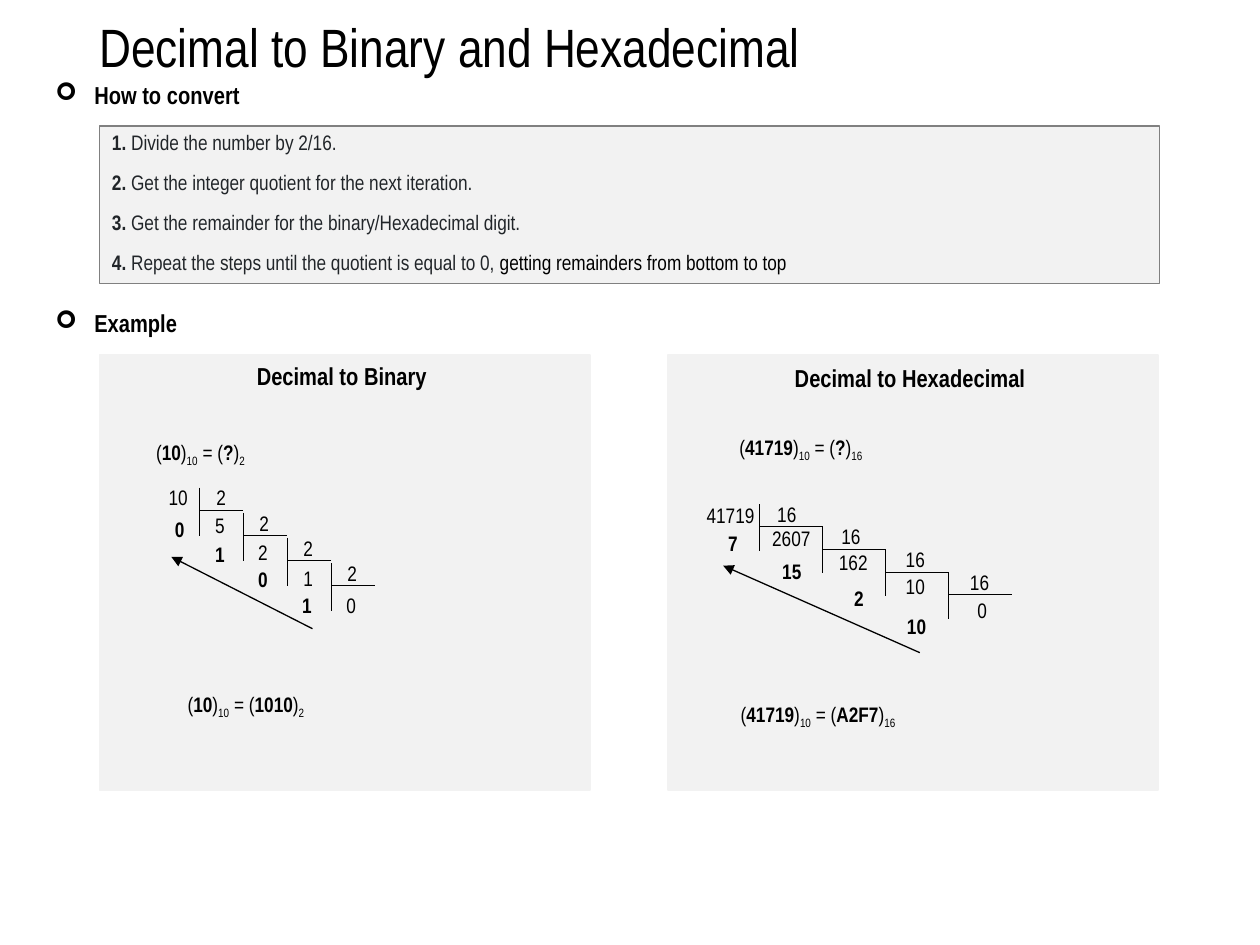
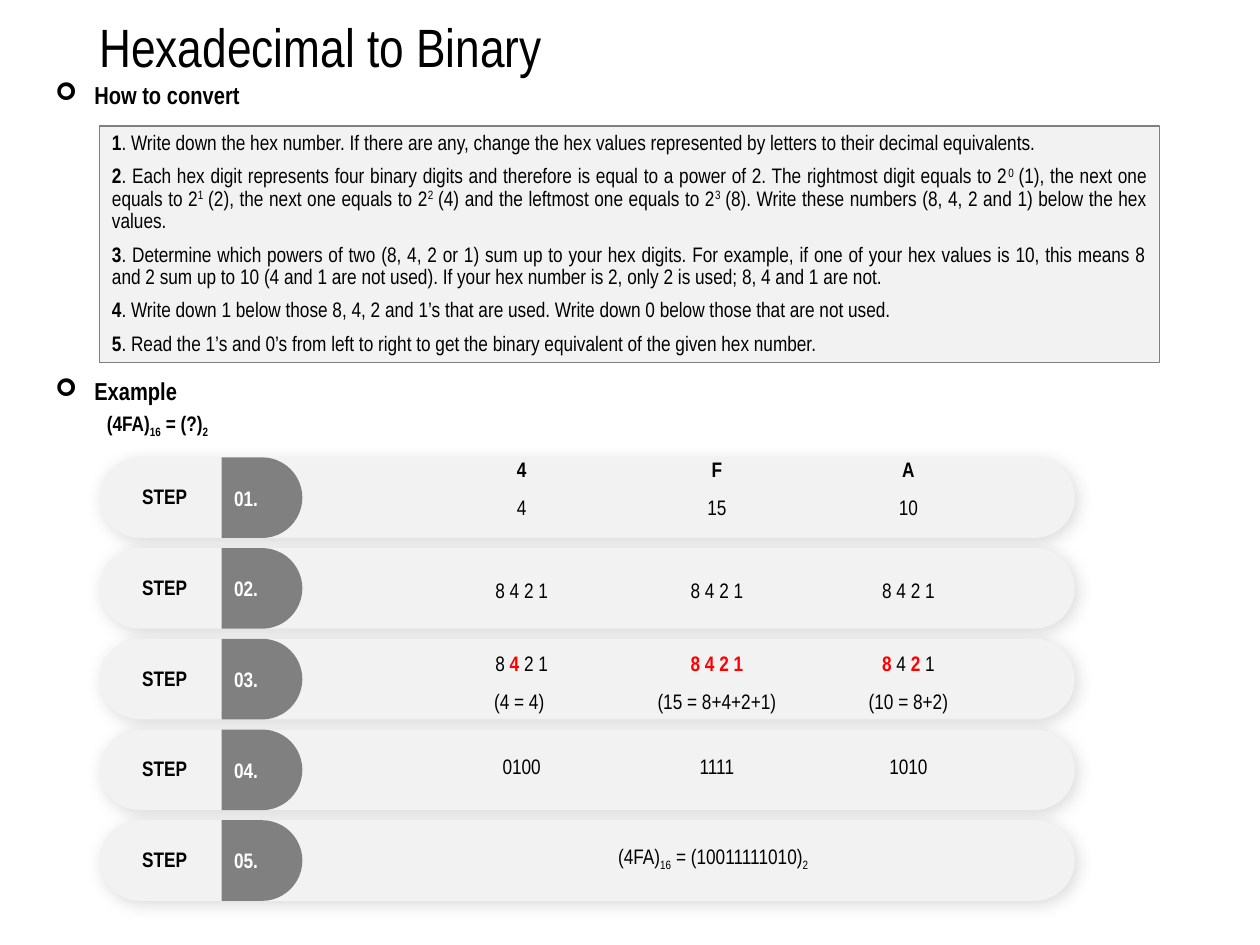
from lxml.etree import SubElement
from pptx import Presentation
from pptx.dml.color import RGBColor
from pptx.enum.shapes import MSO_CONNECTOR, MSO_SHAPE as SHAPE
from pptx.enum.text import MSO_ANCHOR as ANCHOR, PP_ALIGN as ALIGN
from pptx.oxml.ns import qn
from pptx.util import Inches, Pt

FONT = "Arial Narrow"
BLACK = RGBColor(0, 0, 0)
WHITE = RGBColor(255, 255, 255)
INK = RGBColor(0x21, 0x25, 0x29)
PALE = RGBColor(0xF2, 0xF2, 0xF2)
GREY = RGBColor(0x80, 0x80, 0x80)
RED = RGBColor(255, 0, 0)
NO_STYLE_NO_GRID = "{2D5ABB26-0587-4C30-8999-92F81FD0307C}"

# Marks in text: *bold*  _subscript_  ^superscript^  #bold red#  ~black~
MARKS = "*_^#~"

DIVISION_STEPS = [
    "* *Divide the number by 2/16.",
    "* *Get the integer quotient for the next iteration.",
    "* *Get the remainder for the binary/Hexadecimal digit.",
    "* *Repeat the steps until the quotient is equal to 0, "
    "~getting remainders from bottom to top~",
]

# Each series of figures: left edges, first top, drop to the next one
EXAMPLES = [
    dict(
        heading="Decimal to Binary ", panel=(0.79, 2.82), heading_top=2.82,
        question=("(*10*)_10_ = (*?*)_2_", 1.14, 3.44),
        answer=("(*10*)_10_ = (*1010*)_2_", 1.39, 5.44),
        number=10, base=2, number_at=(1.24, 3.8),
        corner=(1.58, 3.87), step=(0.35, 0.2), bar=0.38,
        divisors=([1.62, 1.96, 2.31, 2.66], 3.8, 0.2),
        quotients=([1.61, 1.95, 2.31, 2.65], 4.02, 0.21),
        remainders=([1.29, 1.61, 1.95, 2.3], 4.05, 0.2),
        arrow=((2.48, 4.99), (1.36, 4.42))),
    dict(
        heading="Decimal to Hexadecimal ", panel=(5.3, 2.82), heading_top=2.83,
        question=("(*41719*)_10_ = (*?*)_16_", 5.77, 3.4),
        answer=("(*41719*)_10_ = (*A2F7*)_16_", 5.78, 5.52),
        number=41719, base=16, number_at=(5.51, 3.94),
        corner=(6.03, 4), step=(0.5, 0.18), bar=0.37,
        divisors=([6.07, 6.58, 7.09, 7.6], 3.93, 0.18),
        quotients=([6.03, 6.56, 7.09, 7.66], 4.12, 0.19),
        remainders=([5.68, 6.11, 6.68, 7.1], 4.16, 0.22),
        arrow=((7.3, 5.18), (5.74, 4.49))),
]

HEX_STEPS = [
    "*1*. Write down the hex number. If there are any, change the hex values "
    "represented by letters to their decimal equivalents.",
    "*2*. Each hex digit represents four binary digits and therefore is equal to "
    "a power of 2. The rightmost digit equals to 2^0^\u00a0(1), the next one equals "
    "to 2^1^\u00a0(2), the next one equals to 2^2^\u00a0(4) and the leftmost one "
    "equals to 2^3^\u00a0(8). Write these numbers (8, 4, 2 and 1) below the hex values.",
    "*3*. Determine which powers of two (8, 4, 2 or 1) sum up to your hex digits. "
    "For example, if one of your hex values is 10, this means 8 and 2 sum up to 10 "
    "(4 and 1 are not used). If your hex number is 2, only 2 is used; 8, 4 and 1 are not.",
    "*4*. Write down 1 below those 8, 4, 2 and 1\u2019s that are used. "
    "Write down 0 below those that are not used.",
    "*5*. Read the 1\u2019s and 0\u2019s from left to right to get the binary "
    "equivalent of the given hex number.",
]
STEP_COUNT = 5
COLUMN_WIDTHS = [0.9, 1.54, 1.56, 1.48]
ROW_HEIGHTS = [0.3, 0.36, 0.3, 0.3, 0.2, 0.3, 0.33, 0.3, 0.3, 0.3, 0.3]
TABLE_ROWS = {
    0: ["*4*", "*F*", "*A*"],
    1: ["4", "15", "10"],
    3: ["8 4 2 1"] * 3,
    5: ["8 #4 #2 1", "#8 4 2 1#", "#8 #4 #2 #1"],
    6: ["(4 = 4) ", "(15 = 8+4+2+1)", "(10 = 8+2)"],
    7: ["0100", "1111", "1010"],
    10: ["(4FA)_16_ = (10011111010)_2_"],
}
MERGES = [((7, 1), (8, 1)), ((7, 2), (8, 2)), ((7, 3), (8, 3)),
          ((9, 1), (9, 3)), ((10, 1), (10, 3))]


def split_marks(text):
    """Yield pieces of text, each with the set of marks open around it."""
    opened, piece = set(), ""
    for letter in text:
        if letter in MARKS:
            if piece:
                yield piece, set(opened)
            opened ^= {letter}
            piece = ""
        else:
            piece += letter
    if piece:
        yield piece, opened


def write(frame, *lines, size=12, color=BLACK, bold=False, align=ALIGN.LEFT,
          spacing=None, before=None, bullet=None, indent=0, anchor=ANCHOR.TOP,
          wrap=True):
    """Fill a text frame with one paragraph per line of marked text."""
    frame.word_wrap = wrap
    frame.vertical_anchor = anchor
    for index, line in enumerate(lines):
        para = frame.add_paragraph() if index else frame.paragraphs[0]
        para.alignment = align
        if spacing:
            para.line_spacing = spacing
        if before:
            para.space_before = Pt(before)
        if bullet:
            props = para._p.get_or_add_pPr()
            props.set("marL", str(Inches(indent)))
            props.set("indent", str(-Inches(indent)))
            if bullet == "number":
                SubElement(props, qn("a:buAutoNum"), type="arabicPeriod")
            else:
                SubElement(props, qn("a:buFont"), typeface="Wingdings")
                SubElement(props, qn("a:buChar"), char=bullet)
        for piece, marks in split_marks(line):
            span = para.add_run()
            span.text = piece
            font = span.font
            font.name, font.size = FONT, Pt(size)
            font.bold = bold or bool(marks & {"*", "#"})
            font.color.rgb = RED if "#" in marks else BLACK if "~" in marks else color
            if "_" in marks:
                font._element.set("baseline", "-25000")
            if "^" in marks:
                font._element.set("baseline", "30000")


def add_text(page, text, left, top, width, height=0.3, **format):
    """Add a text box."""
    box = page.shapes.add_textbox(*map(Inches, (left, top, width, height)))
    write(box.text_frame, text, **format)


def add_block(page, kind, left, top, width, height, fill, line=None, weight=0.75):
    """Add a filled shape without shadow, outlined if a line colour is given."""
    block = page.shapes.add_shape(kind, *map(Inches, (left, top, width, height)))
    block.shadow.inherit = False
    block.fill.solid()
    block.fill.fore_color.rgb = fill
    if line is None:
        block.line.fill.background()
    else:
        block.line.color.rgb = line
        block.line.width = Pt(weight)
    return block


def add_line(page, start, end, weight=0.5, arrow=False):
    """Add a black line, with an arrowhead at its end on request."""
    line = page.shapes.add_connector(MSO_CONNECTOR.STRAIGHT,
                                     *map(Inches, (*start, *end)))
    line.line.color.rgb = BLACK
    line.line.width = Pt(weight)
    if arrow:
        SubElement(line.line._get_or_add_ln(), qn("a:tailEnd"), type="triangle")
    SubElement(line._element.spPr, qn("a:effectLst"))


def add_page(deck, title, steps, steps_height, example_top, **format):
    """Add a slide with title, two bullet headings and the panel of steps."""
    page = deck.slides.add_slide(deck.slide_layouts[6])
    add_text(page, title, 0.69, 0.19, 8.62, 0.47, size=30.8, spacing=0.7,
             anchor=ANCHOR.MIDDLE)
    for heading, top in (("How to convert ", 0.53), ("Example", example_top)):
        add_text(page, heading, 0.34, top, 8.62, 0.47, size=14, bold=True,
                 spacing=0.9, bullet="\u27a2", indent=0.31, anchor=ANCHOR.MIDDLE)
    panel = add_block(page, SHAPE.RECTANGLE, 0.79, 1, 8.41, steps_height, PALE, GREY)
    write(panel.text_frame, *steps, spacing=0.9, **format)
    return page


def add_series(page, values, series, **format):
    """Write figures going down like stairs."""
    lefts, top, drop = series
    for index, (value, left) in enumerate(zip(values, lefts)):
        add_text(page, str(value), left, top + index * drop, 0.57, **format)


def add_division(page, example):
    """Draw a panel with the repeated division of a number by its base."""
    left, top = example["panel"]
    add_block(page, SHAPE.RECTANGLE, left, top, 3.89, 3.45, PALE, PALE, 1)
    add_text(page, example["heading"], left, example["heading_top"], 3.89, 0.34,
             size=14, bold=True, align=ALIGN.CENTER)
    for part in ("question", "answer"):
        add_text(page, *example[part], 2.9)

    base, rest = example["base"], example["number"]
    quotients, remainders = [], []
    while rest:
        rest, remainder = divmod(rest, base)
        quotients.append(rest)
        remainders.append(remainder)
    add_text(page, str(example["number"]), *example["number_at"], 0.66)
    add_series(page, [base] * len(quotients), example["divisors"])
    add_series(page, quotients, example["quotients"])
    add_series(page, remainders, example["remainders"], bold=True)

    across, down = example["step"]
    for index in range(len(quotients)):
        x = example["corner"][0] + index * across
        y = example["corner"][1] + index * down
        add_line(page, (x, y), (x, y + example["bar"]))
        add_line(page, (x, y + 0.18), (x + across, y + 0.18))
    add_line(page, *example["arrow"], weight=0.75, arrow=True)


def add_soft_shadow(shape):
    """Give a shape a faint shadow to the lower right."""
    effects = shape._element.spPr.find(qn("a:effectLst"))
    shadow = SubElement(effects, qn("a:outerShdw"), blurRad=str(Pt(10)),
                        dist=str(Pt(2)), dir="2700000", algn="tl", rotWithShape="0")
    color = SubElement(shadow, qn("a:srgbClr"), val="000000")
    SubElement(color, qn("a:alpha"), val="15000")


def add_step_bar(page, number, top):
    """Draw one rounded bar with its step number."""
    bar = add_block(page, SHAPE.ROUNDED_RECTANGLE, 0.79, top, 7.74, 0.64, PALE)
    bar.adjustments[0] = 0.5
    add_soft_shadow(bar)
    badge = add_block(page, SHAPE.FLOWCHART_DELAY, 1.76, top, 0.64, 0.64, GREY)
    write(badge.text_frame, f"{number:02}.", color=WHITE, bold=True,
          anchor=ANCHOR.MIDDLE)
    add_text(page, "STEP", 1.03, top + 0.16, 0.56, bold=True, wrap=False)


def add_digit_table(page):
    """Lay the unfilled table of digits over the step bars."""
    table = page.shapes.add_table(
        len(ROW_HEIGHTS), len(COLUMN_WIDTHS), Inches(2.47), Inches(3.63),
        Inches(sum(COLUMN_WIDTHS)), Inches(sum(ROW_HEIGHTS))).table
    table.first_row = table.horz_banding = False
    table._tbl.tblPr.find(qn("a:tableStyleId")).text = NO_STYLE_NO_GRID
    for column, width in zip(table.columns, COLUMN_WIDTHS):
        column.width = Inches(width)
    for row, height in zip(table.rows, ROW_HEIGHTS):
        row.height = Inches(height)
    for (first, last) in MERGES:
        table.cell(*first).merge(table.cell(*last))
    for row in range(len(ROW_HEIGHTS)):
        texts = ["", *TABLE_ROWS.get(row, [])]
        for column in range(len(COLUMN_WIDTHS)):
            cell = table.cell(row, column)
            cell.fill.background()
            cell.margin_left = cell.margin_right = Inches(0.07)
            cell.margin_top = cell.margin_bottom = Inches(0.04)
            if column < len(texts) and texts[column]:
                write(cell.text_frame, texts[column], align=ALIGN.CENTER)
                cell.vertical_anchor = ANCHOR.MIDDLE if row == 7 else ANCHOR.TOP
            else:
                SubElement(cell.text_frame.paragraphs[0]._p,
                           qn("a:endParaRPr"), sz="1200")


deck = Presentation()
deck.slide_width, deck.slide_height = Inches(10), Inches(7.5)

page = add_page(deck, "Decimal to Binary and Hexadecimal", DIVISION_STEPS, 1.25, 2.34,
                color=INK, before=10, bullet="number")
for example in EXAMPLES:
    add_division(page, example)

page = add_page(deck, "Hexadecimal to Binary", HEX_STEPS, 1.88, 2.88,
                before=6, align=ALIGN.JUSTIFY)
add_text(page, "(4FA)_16_ = (?)_2_", 0.75, 3.18, 8.62, 0.36, bold=True, spacing=0.9,
         anchor=ANCHOR.MIDDLE)
for index in range(STEP_COUNT):
    add_step_bar(page, index + 1, 3.63 + index * 0.72)
add_digit_table(page)

deck.save("out.pptx")
